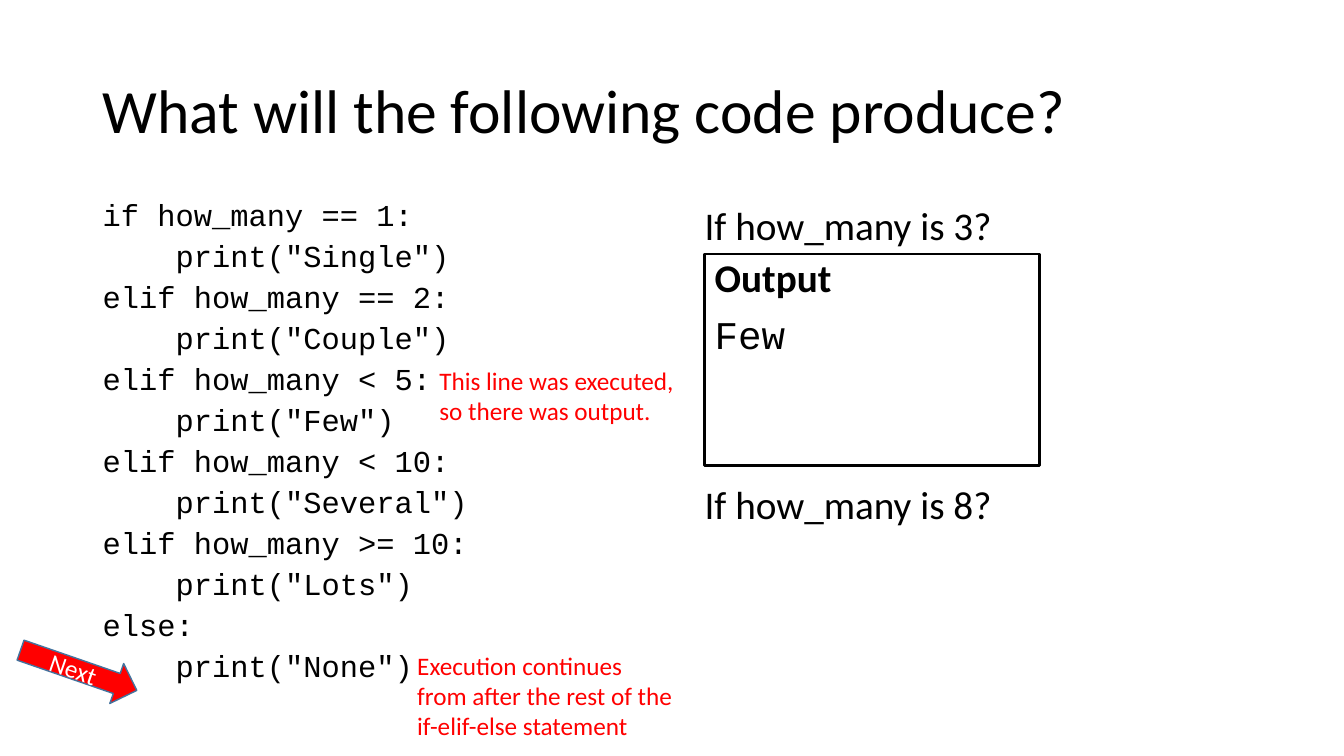
from pptx import Presentation
from pptx.dml.color import RGBColor
from pptx.enum.shapes import MSO_SHAPE
from pptx.enum.text import MSO_ANCHOR, PP_ALIGN
from pptx.util import Inches, Pt

BLACK = RGBColor(0x00, 0x00, 0x00)
WHITE = RGBColor(0xFF, 0xFF, 0xFF)
RED = RGBColor(0xFF, 0x00, 0x00)
BLUE = RGBColor(0x43, 0x73, 0x9E)

CODE = """if how_many == 1:
    print("Single")
elif how_many == 2:
    print("Couple")
elif how_many < 5:
    print("Few")
elif how_many < 10:
    print("Several")
elif how_many >= 10:
    print("Lots")
else:
    print("None")"""


def write(box, lines, size, color=BLACK, font="Calibri", spacing=0.9, gap=0):
    frame = box.text_frame
    frame.word_wrap = True
    for index, line in enumerate(lines):
        para = frame.add_paragraph() if index else frame.paragraphs[0]
        para.alignment = PP_ALIGN.LEFT
        para.line_spacing = spacing
        para.space_before = Pt(gap if index else 0)
        span = para.add_run()
        span.text = line
        span.font.name = font
        span.font.size = Pt(size)
        span.font.color.rgb = color
    return frame


def add_text(left, top, width, height):
    return page.shapes.add_textbox(
        Inches(left), Inches(top), Inches(width), Inches(height))


deck = Presentation()
deck.slide_width = Inches(13.33)
deck.slide_height = Inches(7.5)
page = deck.slides.add_slide(deck.slide_layouts[6])

questions = add_text(6.89, 2, 4.8, 4.76)
write(questions, ["If how_many is 3?", "If how_many is 8?"], 28, gap=169)

title = add_text(0.92, 0.4, 11.5, 1.45)
title_frame = write(title, ["What will the following code produce?"], 44)
title_frame.vertical_anchor = MSO_ANCHOR.MIDDLE

code = add_text(0.92, 2, 4.8, 4.76)
write(code, CODE.splitlines(), 21.7, font="Courier New", spacing=0.7, gap=11)

output = page.shapes.add_shape(
    MSO_SHAPE.RECTANGLE, Inches(6.99), Inches(2.52), Inches(3.32), Inches(2.1))
output.shadow.inherit = False
output.fill.background()
output.line.color.rgb = BLACK
output.line.width = Pt(2)
output_frame = write(output, ["Output", "Few"], 28, gap=10)
output_frame.vertical_anchor = MSO_ANCHOR.TOP
heading, result = output_frame.paragraphs
heading.runs[0].font.bold = True
result.runs[0].font.name = "Courier New"

arrow = page.shapes.add_shape(
    MSO_SHAPE.RIGHT_ARROW, Inches(0.17), Inches(6.44), Inches(1.22), Inches(0.42))
arrow.rotation = 19.1
arrow.shadow.inherit = False
arrow.fill.solid()
arrow.fill.fore_color.rgb = RED
arrow.line.color.rgb = BLUE
arrow.line.width = Pt(1)
arrow_frame = write(arrow, ["Next"], 18, WHITE, spacing=1.0)
arrow_frame.vertical_anchor = MSO_ANCHOR.MIDDLE
arrow_frame.paragraphs[0].alignment = PP_ALIGN.CENTER

for left, top, height, note in [
    (4.26, 3.57, 0.71, "This line was executed, so there was output."),
    (4.04, 6.4, 1.01,
     "Execution continues from after the rest of the if-elif-else statement"),
]:
    write(add_text(left, top, 2.73, height), [note], 18, RED, spacing=1.0)

deck.save("out.pptx")
